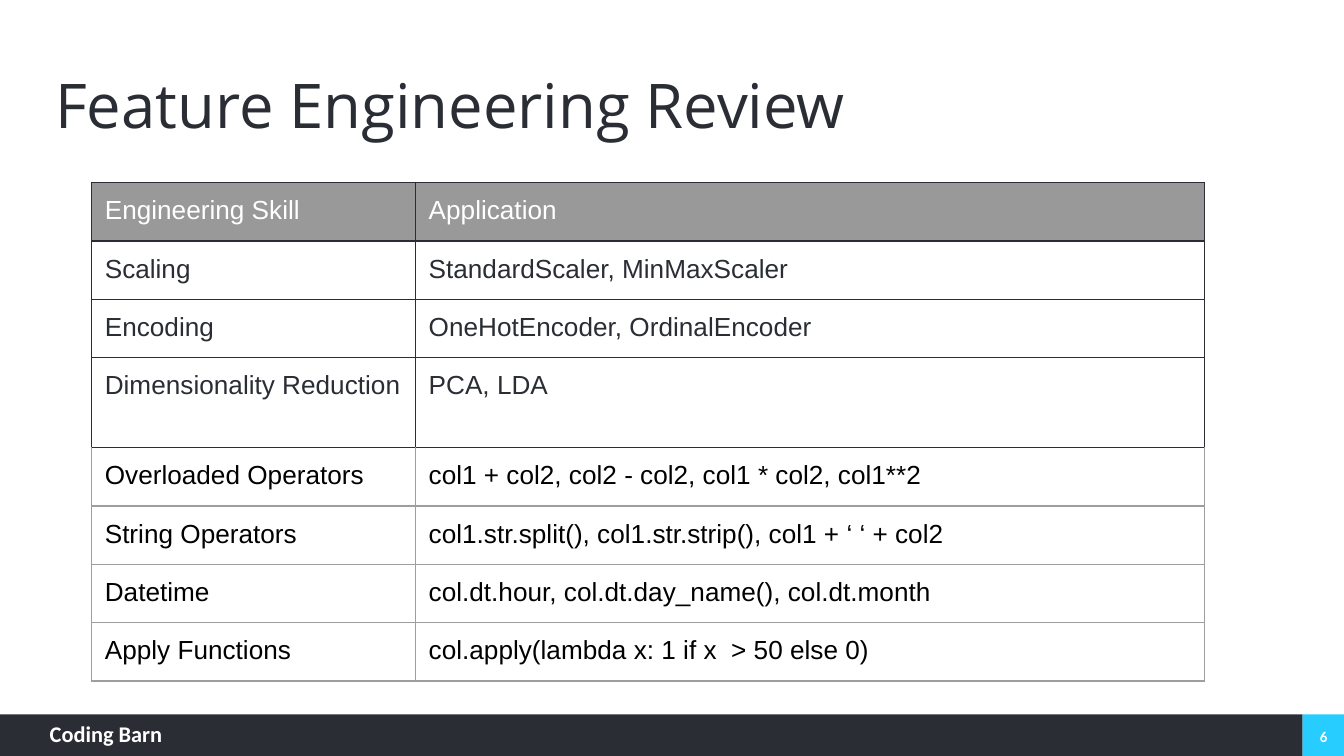
"""Build the feature engineering review slide with its table and footer."""
import pptx
import pptx.util
import pptx.dml.color
import pptx.enum.shapes
import pptx.enum.text
import pptx.oxml
import pptx.oxml.ns

Inches, Pt = pptx.util.Inches, pptx.util.Pt
ANCHOR, ALIGN = pptx.enum.text.MSO_ANCHOR, pptx.enum.text.PP_ALIGN

COLORS = {"dark": "2A2D34", "accent": "28CDFF", "white": "FFFFFF",
          "header": "999999", "grid": "9E9E9E", "black": "000000"}
TITLE = "Feature Engineering Review"
BRAND = "Coding Barn"
NUMBER = "6"
HEADER = ("Engineering Skill", "Application")
BASIC_SKILLS = [
    ("Scaling", "StandardScaler, MinMaxScaler"),
    ("Encoding", "OneHotEncoder, OrdinalEncoder"),
    ("Dimensionality Reduction", "PCA, LDA"),
]
PANDAS_SKILLS = [
    ("Overloaded Operators", "col1 + col2, col2 - col2, col1 * col2, col1**2"),
    ("String Operators", "col1.str.split(), col1.str.strip(), col1 + ‘ ‘ + col2"),
    ("Datetime", "col.dt.hour, col.dt.day_name(), col.dt.month"),
    ("Apply Functions", "col.apply(lambda x: 1 if x  > 50 else 0)"),
]
STYLES = {"header": ("header", "white", "dark"),
          "basic": ("white", "dark", "dark"),
          "pandas": (None, "black", "grid")}
WIDTH = 10
HEIGHT = WIDTH * 9 / 16
FOOTER = 0.31
COLUMNS = (2.41, 5.87)
ROW, TALL_ROW = 0.43, 0.67


def rgb(name):
    return pptx.dml.color.RGBColor.from_string(COLORS[name])


def write(frame, text, size, font, color, bold=False, align=ALIGN.LEFT):
    frame.text = text
    para = frame.paragraphs[0]
    para.alignment = align
    for span in para.runs:
        span.font.size, span.font.name, span.font.bold = Pt(size), font, bold
        span.font.color.rgb = rgb(color)


def set_margins(owner, across, down):
    owner.margin_left = owner.margin_right = Inches(across)
    owner.margin_top = owner.margin_bottom = Inches(down)


def add_bar(page, left, width, color):
    bar = page.shapes.add_shape(
        pptx.enum.shapes.MSO_SHAPE.RECTANGLE, Inches(left),
        Inches(HEIGHT - FOOTER), Inches(width), Inches(FOOTER))
    bar.shadow.inherit = False
    bar.fill.solid()
    bar.fill.fore_color.rgb = rgb(color)
    bar.line.fill.background()


def add_label(page, place, text, size, margins, anchor, align):
    box = page.shapes.add_textbox(*map(Inches, place))
    frame = box.text_frame
    frame.word_wrap = True
    frame.vertical_anchor = anchor
    set_margins(frame, *margins)
    write(frame, text, size, "Calibri", "white", True, align)


def set_borders(cell, sides):
    properties = cell._tc.get_or_add_tcPr()
    for side in "LRTB":
        properties.append(pptx.oxml.parse_xml(
            f'<a:ln{side} {pptx.oxml.ns.nsdecls("a")} w="{Pt(0.75)}">'
            f'<a:solidFill><a:srgbClr val="{COLORS[sides[side]]}"/></a:solidFill>'
            f'</a:ln{side}>'))


def add_skill_table(page):
    rows = ([("header", HEADER)] + [("basic", row) for row in BASIC_SKILLS]
            + [("pandas", row) for row in PANDAS_SKILLS])
    tall = len(BASIC_SKILLS)
    heights = [TALL_ROW if index == tall else ROW for index in range(len(rows))]
    table = page.shapes.add_table(
        len(rows), len(COLUMNS), Inches(0.68), Inches(1.36),
        Inches(sum(COLUMNS)), Inches(sum(heights))).table
    table.first_row = table.horz_banding = False
    for column, width in zip(table.columns, COLUMNS):
        column.width = Inches(width)
    for index, (kind, texts) in enumerate(rows):
        table.rows[index].height = Inches(heights[index])
        fill, color, border = STYLES[kind]
        sides = dict.fromkeys("LRTB", border)
        if index == tall + 1:
            sides["T"] = "dark"
        for cell, text in zip(table.rows[index].cells, texts):
            set_borders(cell, sides)
            set_margins(cell, 0.1, 0.1)
            write(cell.text_frame, text, 14, "Arial", color)
            if fill:
                cell.fill.solid()
                cell.fill.fore_color.rgb = rgb(fill)
            else:
                cell.fill.background()


def main():
    deck = pptx.Presentation()
    deck.slide_width, deck.slide_height = Inches(WIDTH), Inches(HEIGHT)
    page = deck.slides.add_slide(deck.slide_layouts[5])

    title = page.shapes.title
    title.left, title.top = Inches(0.34), Inches(0.49)
    title.width, title.height = Inches(9.32), Inches(0.63)
    frame = title.text_frame
    frame.auto_size = pptx.enum.text.MSO_AUTO_SIZE.NONE
    frame.vertical_anchor = ANCHOR.MIDDLE
    set_margins(frame, 0.07, 0.04)
    write(frame, TITLE, 33, "Open Sans", "dark")
    frame.paragraphs[0].line_spacing = 0.9

    add_bar(page, WIDTH - FOOTER, FOOTER, "accent")
    add_bar(page, 0, WIDTH - FOOTER, "dark")
    add_label(page, (0.37, 5.36, 1.57, 0.23), BRAND, 12, (0, 0),
              ANCHOR.TOP, ALIGN.LEFT)
    add_label(page, (9.7, 5.33, 0.3, 0.3), NUMBER, 8, (0.07, 0.04),
              ANCHOR.MIDDLE, ALIGN.CENTER)
    add_skill_table(page)
    deck.save("out.pptx")


if __name__ == "__main__":
    main()
